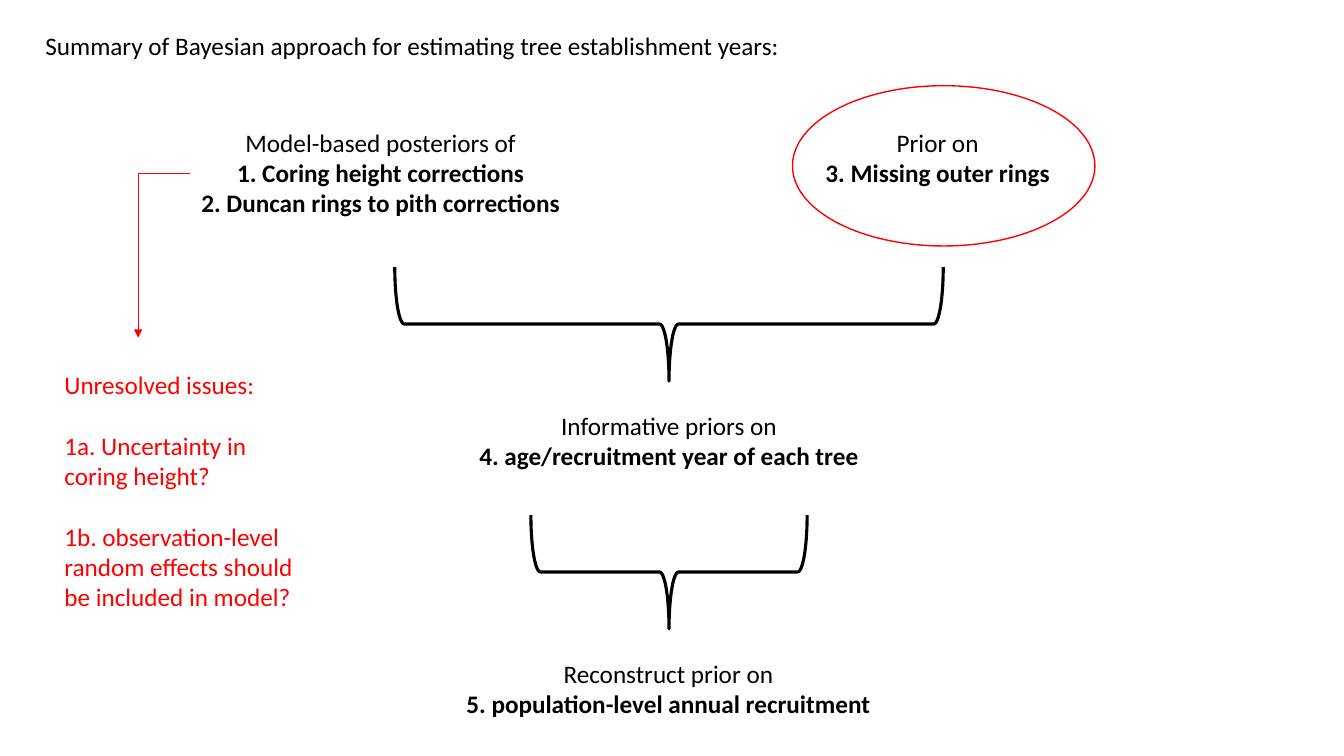
from lxml import etree
from pptx import Presentation
from pptx.dml.color import RGBColor
from pptx.enum.shapes import MSO_CONNECTOR, MSO_SHAPE
from pptx.enum.text import MSO_ANCHOR, MSO_AUTO_SIZE, PP_ALIGN
from pptx.oxml.ns import qn
from pptx.util import Inches, Pt

COLORS = {"text": "000000", "issue": "FF0000"}
FONT = "Calibri"
TEXT_SIZE = 18
BLANK_LINE = 22  # points between the groups of issues

TITLE = "Summary of Bayesian approach for estimating tree establishment years:"
TITLE_BOX = (0.35, 0.25, 7.51, 0.4)

# Box, plain lead line, bold lines
STEPS = [
    ((1.88, 1.21, 3.79, 1.01), "Model-based posteriors of",
     ["1. Coring height corrections", "2. Duncan rings to pith corrections"]),
    ((8.08, 1.21, 2.44, 0.71), "Prior on", ["3. Missing outer rings"]),
    ((4.64, 4.02, 3.99, 0.71), "Informative priors on",
     ["4. age/recruitment year of each tree"]),
    ((4.51, 6.48, 4.24, 0.71), "Reconstruct prior on",
     ["5. population-level annual recruitment"]),
]

ISSUES_BOX = (0.54, 3.61, 2.5, 2.52)
ISSUE_GROUPS = [
    ["Unresolved issues:"],
    ["1a. Uncertainty in", "coring height?"],
    ["1b. observation-level", "random effects should", "be included in model?"],
]

# Braces turned to open upwards: top edge and span
BRACE_CENTER = 6.635
BRACE_DEPTH = 1.13
BRACES = [(2.65, 5.44), (5.11, 2.74)]

PRIOR_OVAL = (7.86, 0.85, 3, 1.59)
ARROW_START = (1.88, 1.72)
ARROW_END = (1.37, 3.35)


def inches(values):
    return [Inches(value) for value in values]


def color(name):
    return RGBColor.from_string(COLORS[name])


def add_text(paragraph, text, color_name="text", bold=False):
    run = paragraph.add_run()
    run.text = text
    run.font.name = FONT
    run.font.size = Pt(TEXT_SIZE)
    run.font.bold = bold
    run.font.color.rgb = color(color_name)


def add_lines(box, lines, alignment):
    """Add a text box; each line is (text, color name, bold, space before)."""
    frame = slide.shapes.add_textbox(*inches(box)).text_frame
    frame.word_wrap = False
    frame.auto_size = MSO_AUTO_SIZE.SHAPE_TO_FIT_TEXT
    for index, (text, color_name, bold, space) in enumerate(lines):
        paragraph = frame.add_paragraph() if index else frame.paragraphs[0]
        paragraph.alignment = alignment
        if space:
            paragraph.space_before = Pt(space)
        add_text(paragraph, text, color_name, bold)


def add_outline(kind, box, color_name, width):
    shape = slide.shapes.add_shape(kind, *inches(box))
    shape.shadow.inherit = False
    shape.fill.background()
    shape.line.color.rgb = color(color_name)
    shape.line.width = Pt(width)
    return shape


presentation = Presentation()
presentation.slide_width = Inches(13.33)
presentation.slide_height = Inches(7.5)
slide = presentation.slides.add_slide(presentation.slide_layouts[5])

# Title
title = slide.shapes.title
title.left, title.top, title.width, title.height = inches(TITLE_BOX)
title_frame = title.text_frame
title_frame.word_wrap = False
title_frame.auto_size = MSO_AUTO_SIZE.NONE
title_frame.vertical_anchor = MSO_ANCHOR.TOP
title_frame.paragraphs[0].alignment = PP_ALIGN.LEFT
add_text(title_frame.paragraphs[0], TITLE)

# Steps of the approach
for box, lead, bold_lines in STEPS:
    lines = [(lead, "text", False, 0)]
    lines += [(line, "text", True, 0) for line in bold_lines]
    add_lines(box, lines, PP_ALIGN.CENTER)

# Braces, placed before their quarter turn
for top, span in BRACES:
    brace_box = (BRACE_CENTER - BRACE_DEPTH / 2,
                 top + BRACE_DEPTH / 2 - span / 2, BRACE_DEPTH, span)
    brace = add_outline(MSO_SHAPE.RIGHT_BRACE, brace_box, "text", 2.25)
    brace.rotation = 90

# Unresolved issues
issue_lines = [
    (line, "issue", False, BLANK_LINE if group_index and not line_index else 0)
    for group_index, group in enumerate(ISSUE_GROUPS)
    for line_index, line in enumerate(group)
]
add_lines(ISSUES_BOX, issue_lines, PP_ALIGN.LEFT)

# Bent arrow: flipped vertically and turned by 180 degrees, it runs left, then down
arrow = slide.shapes.add_connector(
    MSO_CONNECTOR.ELBOW, *inches(ARROW_END), *inches(ARROW_START))
arrow.line.color.rgb = color("issue")
arrow.line.width = Pt(0.5)
properties = arrow._element.spPr
properties.find(qn("a:xfrm")).set("rot", str(180 * 60000))
properties.find(qn("a:prstGeom")).set("prst", "bentConnector2")
etree.SubElement(properties.find(qn("a:ln")), qn("a:tailEnd")).set("type", "triangle")
etree.SubElement(properties, qn("a:effectLst"))

# Oval around the prior
add_outline(MSO_SHAPE.OVAL, PRIOR_OVAL, "issue", 1)

presentation.save("out.pptx")
